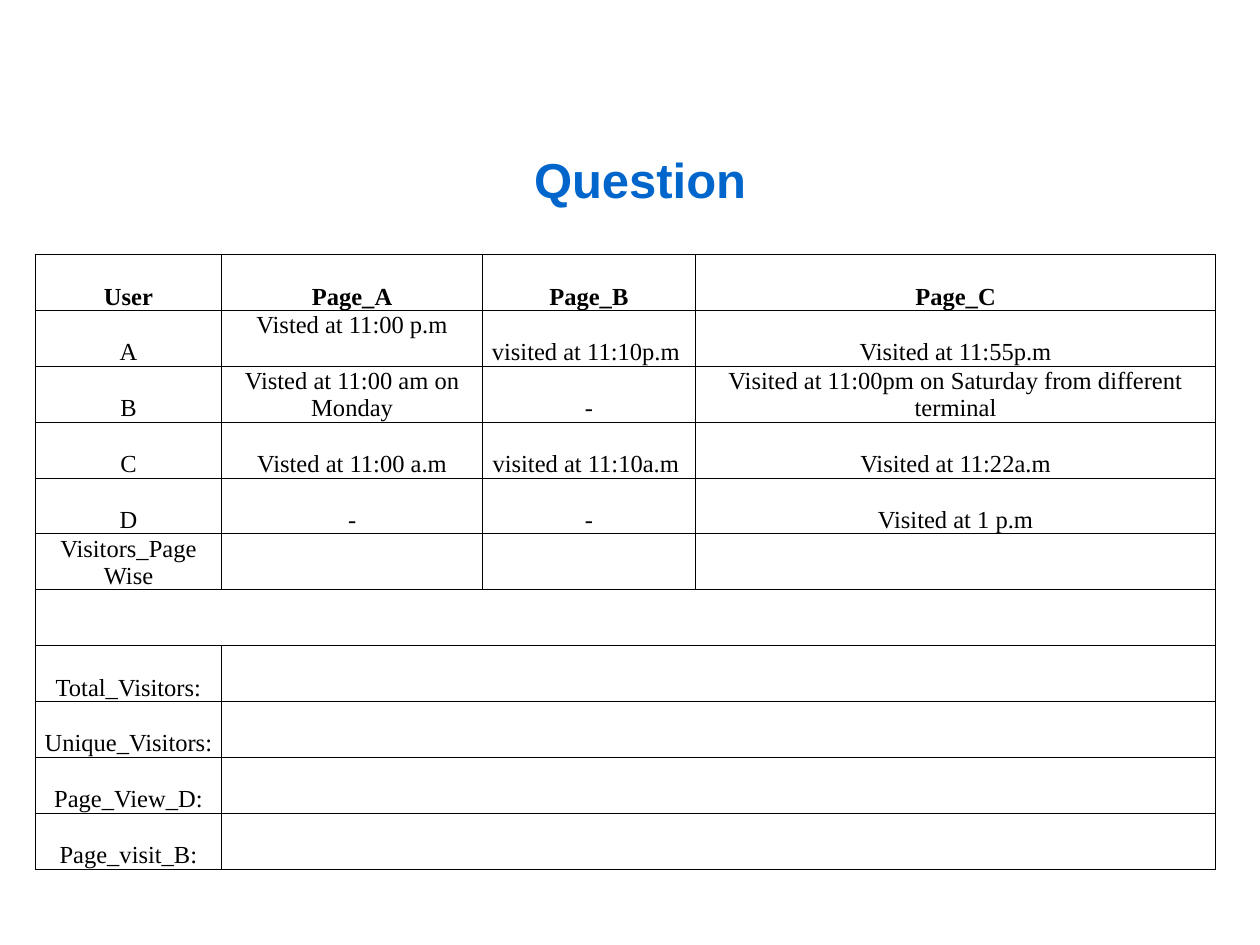
"""Build the page visit question slide."""
from lxml.etree import SubElement
from pptx import Presentation
from pptx.dml.color import RGBColor
from pptx.enum.text import MSO_ANCHOR, PP_ALIGN
from pptx.oxml.ns import qn
from pptx.util import Inches, Pt

BLUE = RGBColor(0x00, 0x66, 0xCC)
BLACK = RGBColor(0x00, 0x00, 0x00)

TITLE_FONT = {"name": "Arial", "size": Pt(28), "bold": True}
HEADER_FONT = {"name": "Times New Roman", "size": Pt(14), "bold": True}
BODY_FONT = {**HEADER_FONT, "bold": False}
TITLE_PLACE = {"left": Inches(0.83), "top": Inches(1.17), "width": Inches(8.5), "height": Inches(0.5)}
CELL_FORMAT = {
    "margin_left": Inches(0.01),
    "margin_right": Inches(0.01),
    "margin_top": Inches(0.01),
    "margin_bottom": 0,
    "vertical_anchor": MSO_ANCHOR.BOTTOM,
}

COLUMN_WIDTHS = [1.48, 2.07, 1.69, 4.13]
VISITS = [
    ["User", "Page_A", "Page_B", "Page_C"],
    ["A", "Visted at 11:00 p.m", "visited at 11:10p.m ", "Visited at 11:55p.m"],
    ["B", "Visted at 11:00 am on Monday", "-", "Visited at 11:00pm on Saturday from different terminal"],
    ["C", "Visted at 11:00 a.m", "visited at 11:10a.m ", "Visited at 11:22a.m"],
    ["D", "-", "-", "Visited at 1 p.m"],
    ["Visitors_Page Wise", "", "", ""],
]
SPACER = [""]
TOTALS = [["Total_Visitors:", ""], ["Unique_Visitors:", ""], ["Page_View_D:", ""], ["Page_visit_B:", ""]]


def apply_format(target, values):
    """Set each named attribute of the target."""
    for name, value in values.items():
        setattr(target, name, value)


def write_text(frame, text, font, color):
    """Write one centred paragraph."""
    para = frame.paragraphs[0]
    para.alignment = PP_ALIGN.CENTER
    span = para.add_run()
    span.text = text
    apply_format(span.font, font)
    span.font.color.rgb = color


def add_title(page, text):
    """Place and fill the title placeholder."""
    title = page.shapes.title
    apply_format(title, TITLE_PLACE)
    title.text_frame.vertical_anchor = MSO_ANCHOR.MIDDLE
    write_text(title.text_frame, text, TITLE_FONT, BLUE)


def add_borders(cell):
    """Draw a thin black line on each side of the cell."""
    properties = cell._tc.get_or_add_tcPr()
    for side in ("a:lnL", "a:lnR", "a:lnT", "a:lnB"):
        line = SubElement(properties, qn(side), w=str(Pt(0.5)))
        fill = SubElement(line, qn("a:solidFill"))
        SubElement(fill, qn("a:srgbClr"), val=str(BLACK))


def add_visit_table(page, rows):
    """Add the table, merging the last cell of each short row to the right edge."""
    last = len(COLUMN_WIDTHS) - 1
    frame = page.shapes.add_table(
        len(rows), last + 1, Inches(0.28), Inches(2.02), Inches(sum(COLUMN_WIDTHS)), Inches(4.88)
    )
    table = frame.table
    apply_format(table, {"first_row": False, "horz_banding": False})
    for column, width in zip(table.columns, COLUMN_WIDTHS):
        column.width = Inches(width)
    for cell in table.iter_cells():
        apply_format(cell, CELL_FORMAT)
        add_borders(cell)
        cell.fill.background()
    for index, texts in enumerate(rows):
        font = BODY_FONT if index else HEADER_FONT
        for position, text in enumerate(texts):
            if text:
                write_text(table.cell(index, position).text_frame, text, font, BLACK)
        if len(texts) <= last:
            table.cell(index, len(texts) - 1).merge(table.cell(index, last))
    return table


def main():
    """Build and save the deck."""
    deck = Presentation()
    apply_format(deck, {"slide_width": Inches(10), "slide_height": Inches(7.5)})
    page = deck.slides.add_slide(deck.slide_layouts[5])
    add_title(page, "Question")
    table = add_visit_table(page, [*VISITS, SPACER, *TOTALS])
    table.cell(1, 1).vertical_anchor = MSO_ANCHOR.TOP
    deck.save("out.pptx")


if __name__ == "__main__":
    main()
